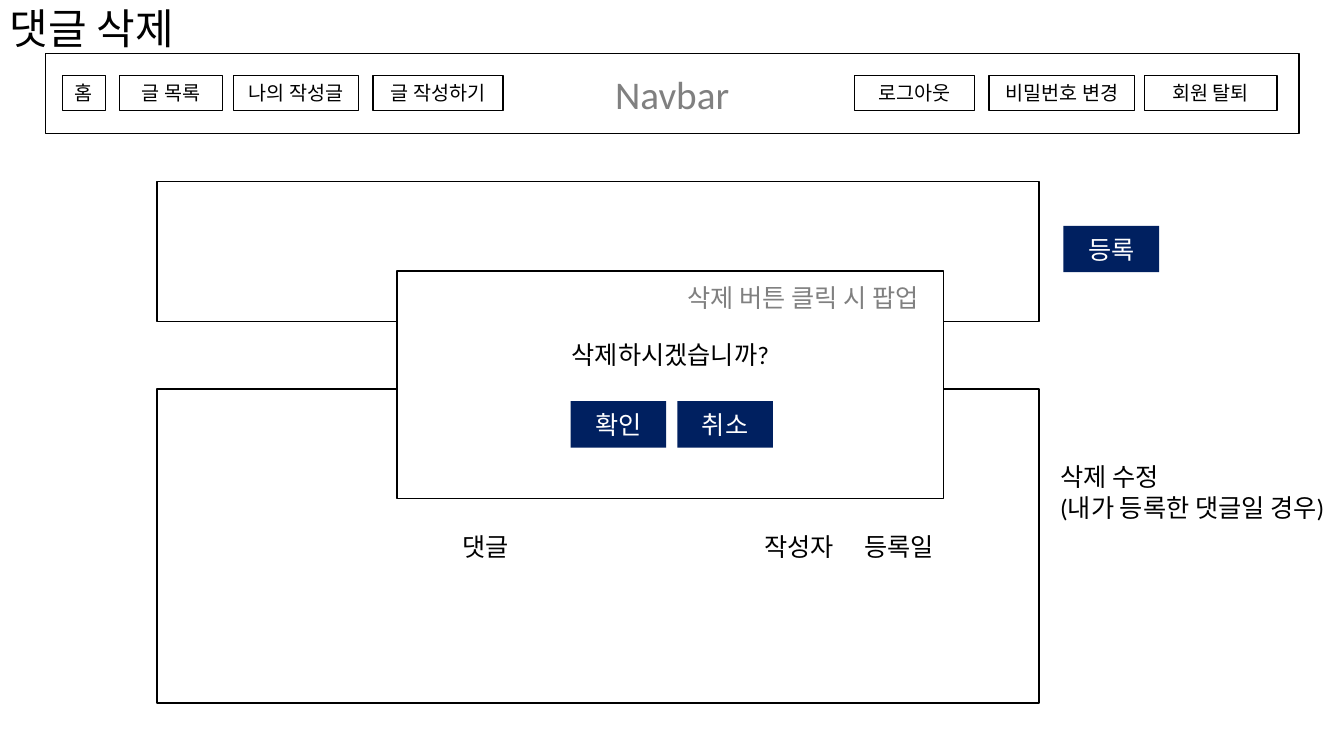
import pptx
import pptx.dml.color
import pptx.enum.shapes
import pptx.enum.text
import pptx.util
from lxml import etree

Cm = pptx.util.Cm
Pt = pptx.util.Pt
ALIGN = pptx.enum.text.PP_ALIGN
ANCHOR = pptx.enum.text.MSO_ANCHOR
RECTANGLE = pptx.enum.shapes.MSO_SHAPE.RECTANGLE

FONT = "Calibri"
BLACK, WHITE, GREY, NAVY = "000000", "FFFFFF", "808080", "002060"
MENU = [
    ("홈", 1.57, 1.09),
    ("글 목록", 3.02, 2.59),
    ("나의 작성글", 5.89, 3.15),
    ("글 작성하기", 9.4, 3.28),
    ("로그아웃", 21.54, 3.02),
    ("비밀번호 변경", 24.92, 3.68),
    ("회원 탈퇴", 28.85, 3.33),
]


def rgb(code):
    """Turn a hex string into a colour."""
    return pptx.dml.color.RGBColor.from_string(code)


def write(frame, text, size, color, align, anchor):
    """Fill a text frame, one paragraph per line of text."""
    frame.word_wrap = True
    frame.vertical_anchor = anchor
    frame.text = text
    for paragraph in frame.paragraphs:
        paragraph.alignment = align
        paragraph.font.name = FONT
        paragraph.font.size = Pt(size)
        paragraph.font.color.rgb = rgb(color)


def add_panel(shapes, area, text="", size=18, color=BLACK):
    """Add a white box with a black outline; area is in cm."""
    panel = shapes.add_shape(RECTANGLE, *map(Cm, area))
    panel.shadow.inherit = False
    panel.fill.solid()
    panel.fill.fore_color.rgb = rgb(WHITE)
    panel.line.color.rgb = rgb(BLACK)
    panel.line.width = Pt(1)
    if text:
        write(panel.text_frame, text, size, color, ALIGN.CENTER, ANCHOR.MIDDLE)
    return panel


def add_button(shapes, left, top, text):
    """Add a navy action button."""
    button = add_panel(shapes, (left, top, 2.41, 1.17), text, color=WHITE)
    button.fill.fore_color.rgb = rgb(NAVY)
    button.line.fill.background()


def add_label(shapes, area, text, size=18, color=BLACK, anchor=ANCHOR.TOP):
    """Add left-aligned text without a box around it."""
    label = shapes.add_textbox(*map(Cm, area))
    write(label.text_frame, text, size, color, ALIGN.LEFT, anchor)
    return label


def set_tabs(paragraph, stops):
    """Align a paragraph left and give it tab stops in cm."""
    paragraph.alignment = ALIGN.LEFT
    properties = paragraph._p.get_or_add_pPr()
    namespace = pptx.oxml.ns.qn("a:tabLst")
    tabs = etree.Element(namespace)
    for stop in stops:
        etree.SubElement(tabs, pptx.oxml.ns.qn("a:tab"), pos=str(Cm(stop)), algn="l")
    defaults = properties.find(pptx.oxml.ns.qn("a:defRPr"))
    defaults.addprevious(tabs)


def add_navbar(shapes):
    """Add the navigation bar and its menu as one group."""
    navbar = shapes.add_group_shape().shapes
    add_panel(navbar, (1.14, 1.35, 31.6, 2.01), "Navbar", 28, GREY)
    for text, left, width in MENU:
        add_panel(navbar, (left, 1.9, width, 0.89), text, 14)


def add_comments(shapes):
    """Add the comment entry box, the comment list and its note."""
    add_panel(shapes, (3.96, 4.57, 22.23, 3.53))
    add_button(shapes, 26.8, 5.69, "등록")
    comments = add_panel(shapes, (3.96, 9.8, 22.23, 7.92), "\t댓글\t작성자\t등록일")
    set_tabs(comments.text_frame.paragraphs[0], (7.44, 15.06, 17.58))
    add_label(shapes, (26.47, 11.51, 8.15, 1.8), "삭제 수정\n(내가 등록한 댓글일 경우)")


def add_popup(shapes):
    """Add the delete confirmation popup."""
    popup = add_panel(shapes, (10.01, 6.83, 13.77, 5.74), "삭제하시겠습니까?")
    popup.text_frame.margin_bottom = Cm(1.65)
    add_button(shapes, 14.38, 10.11, "확인")
    add_button(shapes, 17.07, 10.11, "취소")
    add_label(shapes, (17.07, 6.99, 13.79, 1.02), "삭제 버튼 클릭 시 팝업", color=GREY)


def main():
    """Build the comment deletion wireframe."""
    deck = pptx.Presentation()
    deck.slide_width, deck.slide_height = Cm(33.87), Cm(19.05)
    shapes = deck.slides.add_slide(deck.slide_layouts[6]).shapes
    title = add_label(shapes, (0, -1.07, 29.21, 3.68), "댓글 삭제", 30, anchor=ANCHOR.MIDDLE)
    title.text_frame.paragraphs[0].line_spacing = 0.9
    add_navbar(shapes)
    add_comments(shapes)
    add_popup(shapes)
    deck.save("out.pptx")


main()
